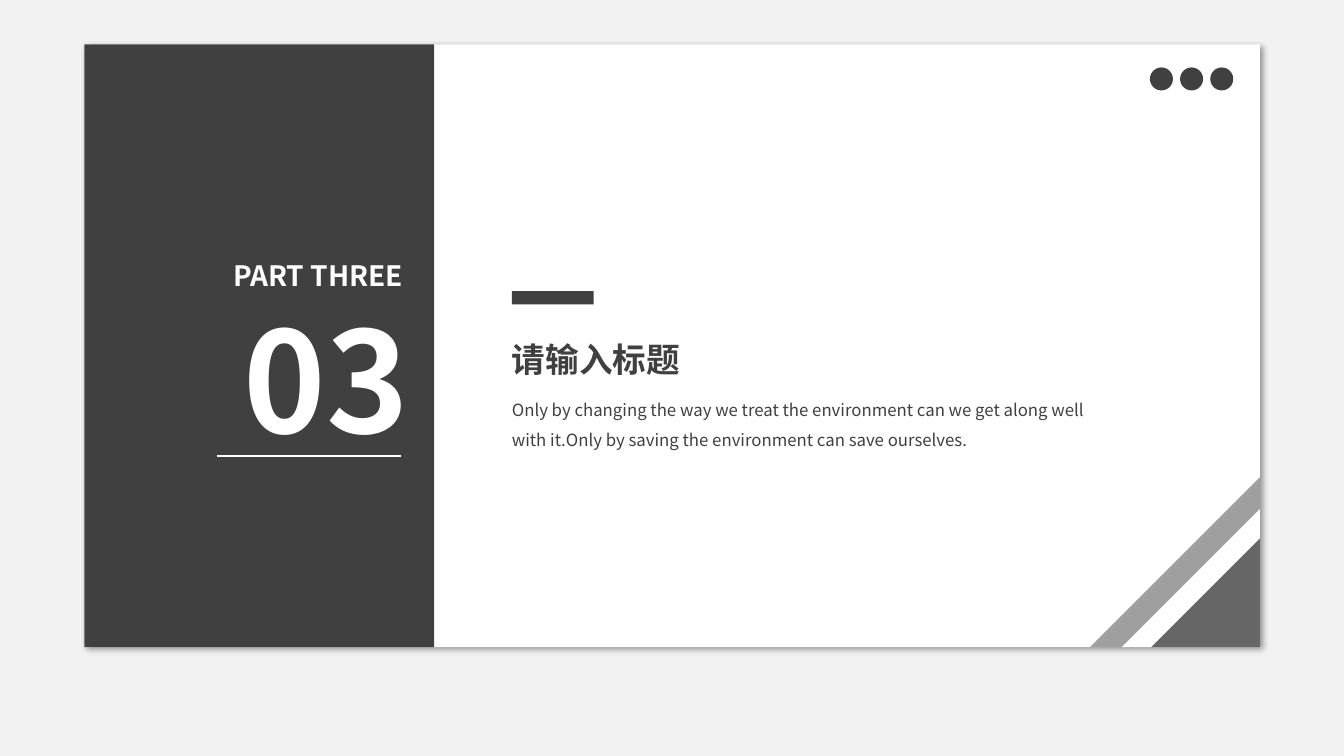
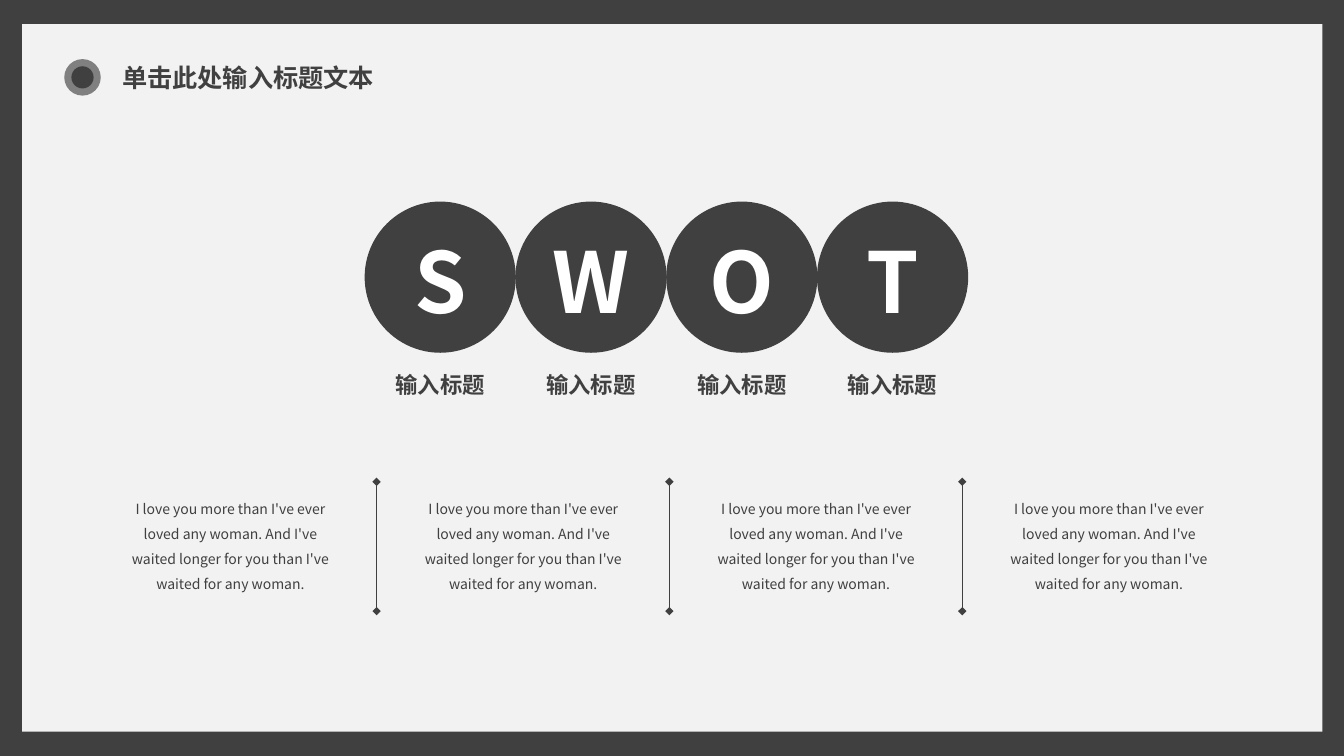
from dataclasses import dataclass

from lxml import etree
from pptx import Presentation
from pptx import util as u
from pptx.dml.color import RGBColor
from pptx.enum import shapes, text
from pptx.oxml import ns


@dataclass(frozen=True)
class Theme:
    dark: str = "404040"
    mid: str = "808080"
    pale: str = "F2F2F2"
    white: str = "FFFFFF"
    black: str = "000000"
    font: str = "Noto Sans CJK SC"
    number: int = 100
    letter: int = 60
    heading: int = 24
    chapter: int = 20
    title: int = 18
    label: int = 16
    body: int = 12
    small: int = 10


THEME = Theme()


@dataclass(frozen=True)
class Area:
    left: float
    top: float
    width: float
    height: float

    def lengths(self) -> tuple:
        return tuple(u.Cm(v) for v in (self.left, self.top, self.width, self.height))


@dataclass(frozen=True)
class Style:
    size: int
    color: str = THEME.dark
    bold: bool = True
    align: text.PP_ALIGN = text.PP_ALIGN.LEFT
    spacing: float = 1.0


@dataclass(frozen=True)
class Stripe:
    side: float
    color: str
    opacity: int


@dataclass(frozen=True)
class Topic:
    letter: str
    label: str
    body: str


STRIPES = (
    Stripe(4.28, THEME.dark, 50),
    Stripe(3.48, THEME.white, 100),
    Stripe(2.74, THEME.dark, 80),
)
QUOTE = ("I love you more than I've ever loved any woman. And I've waited "
         "longer for you than I've waited for any woman.")
TOPICS = tuple(Topic(letter, "输入标题", QUOTE) for letter in "SWOT")


def add_element(parent, tag: str, **attributes):
    element = etree.SubElement(parent, ns.qn(tag))
    for name, value in attributes.items():
        element.set(name, str(value))
    return element


def add_page(deck, color: str):
    page = deck.slides.add_slide(deck.slide_layouts[6])
    fill = page.background.fill
    fill.solid()
    fill.fore_color.rgb = RGBColor.from_string(color)
    return page


def add_figure(page, kind, area: Area, color: str, opacity: int = 100):
    figure = page.shapes.add_shape(kind, *area.lengths())
    figure.shadow.inherit = False
    figure.fill.solid()
    figure.fill.fore_color.rgb = RGBColor.from_string(color)
    figure.line.fill.background()
    if opacity < 100:
        tint = figure._element.spPr.find(".//" + ns.qn("a:srgbClr"))
        add_element(tint, "a:alpha", val=opacity * 1000)
    return figure


def add_rectangle(page, area: Area, color: str):
    return add_figure(page, shapes.MSO_SHAPE.RECTANGLE, area, color)


def add_circle(page, left: float, top: float, size: float, color: str):
    return add_figure(page, shapes.MSO_SHAPE.OVAL, Area(left, top, size, size), color)


def drop_shadow(figure) -> None:
    effects = figure._element.spPr.find(ns.qn("a:effectLst"))
    shadow = add_element(effects, "a:outerShdw", blurRad=u.Pt(4), dist=u.Pt(3),
                         dir=45 * 60000, algn="tl", rotWithShape=0)
    tint = add_element(shadow, "a:srgbClr", val=THEME.black)
    add_element(tint, "a:alpha", val=40000)


def add_text(page, area: Area, words: str, style: Style,
             middle: bool = False, wrap: bool = True) -> None:
    box = page.shapes.add_textbox(*area.lengths())
    frame = box.text_frame
    frame.word_wrap = wrap
    if middle:
        frame.vertical_anchor = text.MSO_ANCHOR.MIDDLE
    else:
        frame.auto_size = text.MSO_AUTO_SIZE.SHAPE_TO_FIT_TEXT
    para = frame.paragraphs[0]
    para.text = words
    para.alignment = style.align
    para.line_spacing = style.spacing
    font = para.font
    font.size = u.Pt(style.size)
    font.bold = style.bold
    font.color.rgb = RGBColor.from_string(style.color)
    font.name = THEME.font
    defaults = para._p.pPr.find(ns.qn("a:defRPr"))
    add_element(defaults, "a:ea", typeface=THEME.font)


def add_line(page, start: tuple[float, float], end: tuple[float, float],
             color: str, weight: float, diamonds: bool = False) -> None:
    line = page.shapes.add_connector(
        shapes.MSO_CONNECTOR.STRAIGHT, *(u.Cm(v) for v in start + end))
    line.line.color.rgb = RGBColor.from_string(color)
    line.line.width = u.Pt(weight)
    if diamonds:
        outline = line._element.spPr.find(ns.qn("a:ln"))
        for tag in ("a:headEnd", "a:tailEnd"):
            add_element(outline, tag, type="diamond")
    add_element(line._element.spPr, "a:effectLst")


def draw_section(deck) -> None:
    page = add_page(deck, THEME.pale)
    card = Area(2.13, 1.12, 29.62, 15.19)
    drop_shadow(add_rectangle(page, card, THEME.white))
    add_rectangle(page, Area(card.left, card.top, 8.81, card.height), THEME.dark)

    right, bottom = card.left + card.width, card.top + card.height
    for stripe in STRIPES:
        area = Area(right - stripe.side, bottom - stripe.side, stripe.side, stripe.side)
        corner = add_figure(page, shapes.MSO_SHAPE.RIGHT_TRIANGLE, area,
                            stripe.color, stripe.opacity)
        corner._element.spPr.xfrm.set("flipH", "1")

    add_line(page, (5.46, 11.48), (10.1, 11.48), THEME.white, 1.5)
    flush = text.PP_ALIGN.RIGHT
    add_text(page, Area(5.33, 7.26, 5.23, 4.52), "03",
             Style(THEME.number, THEME.white, align=flush))
    add_text(page, Area(5.08, 6.4, 5.33, 1.12), "PART THREE",
             Style(THEME.chapter, THEME.white, align=flush))

    add_rectangle(page, Area(12.9, 7.34, 2.06, 0.33), THEME.dark)
    add_text(page, Area(12.65, 8.41, 5.33, 1.27), "请输入标题",
             Style(THEME.heading, align=text.PP_ALIGN.JUSTIFY))
    add_text(page, Area(12.65, 9.7, 15.6, 1.73),
             "Only by changing the way we treat the environment can we get along "
             "well with it.Only by saving the environment can save ourselves.",
             Style(THEME.body, bold=False, spacing=1.5))

    for index in range(3):
        add_circle(page, 28.98 + index * 0.76, 1.7, 0.58, THEME.dark)


def draw_swot(deck) -> None:
    page = add_page(deck, THEME.dark)
    add_rectangle(page, Area(0.56, 0.61, 32.77, 17.83), THEME.pale)
    add_circle(page, 1.62, 1.49, 0.92, THEME.mid)
    add_circle(page, 1.8, 1.67, 0.56, THEME.dark)
    add_text(page, Area(2.83, 1.52, 7.26, 0.84), "单击此处输入标题文本",
             Style(THEME.title), middle=True)

    centre = text.PP_ALIGN.CENTER
    letter_style = Style(THEME.letter, THEME.white, align=centre)
    label_style = Style(THEME.label, align=centre)
    body_style = Style(THEME.small, bold=False, align=centre, spacing=1.5)
    diameter, circle_pitch, column_pitch = 3.81, 3.8, 7.38

    for index, topic in enumerate(TOPICS):
        left = 9.19 + index * circle_pitch
        middle = left + diameter / 2
        add_circle(page, left, 5.08, diameter, THEME.dark)
        add_text(page, Area(middle - 2.07, 5.66, 4.14, 2.82), topic.letter, letter_style)
        add_text(page, Area(middle - 1.41, 9.22, 2.82, 0.94), topic.label,
                 label_style, wrap=False)

        column = 2.82 + index * column_pitch
        add_text(page, Area(column, 12.27, 5.97, 2.82), topic.body, body_style)
        if index < len(TOPICS) - 1:
            divider = column + 6.67
            add_line(page, (divider, 12.14), (divider, 15.4), THEME.dark, 1, diamonds=True)


def main() -> None:
    deck = Presentation()
    deck.slide_width, deck.slide_height = u.Cm(33.87), u.Cm(19.05)
    draw_section(deck)
    draw_swot(deck)
    deck.save("out.pptx")


if __name__ == "__main__":
    main()
